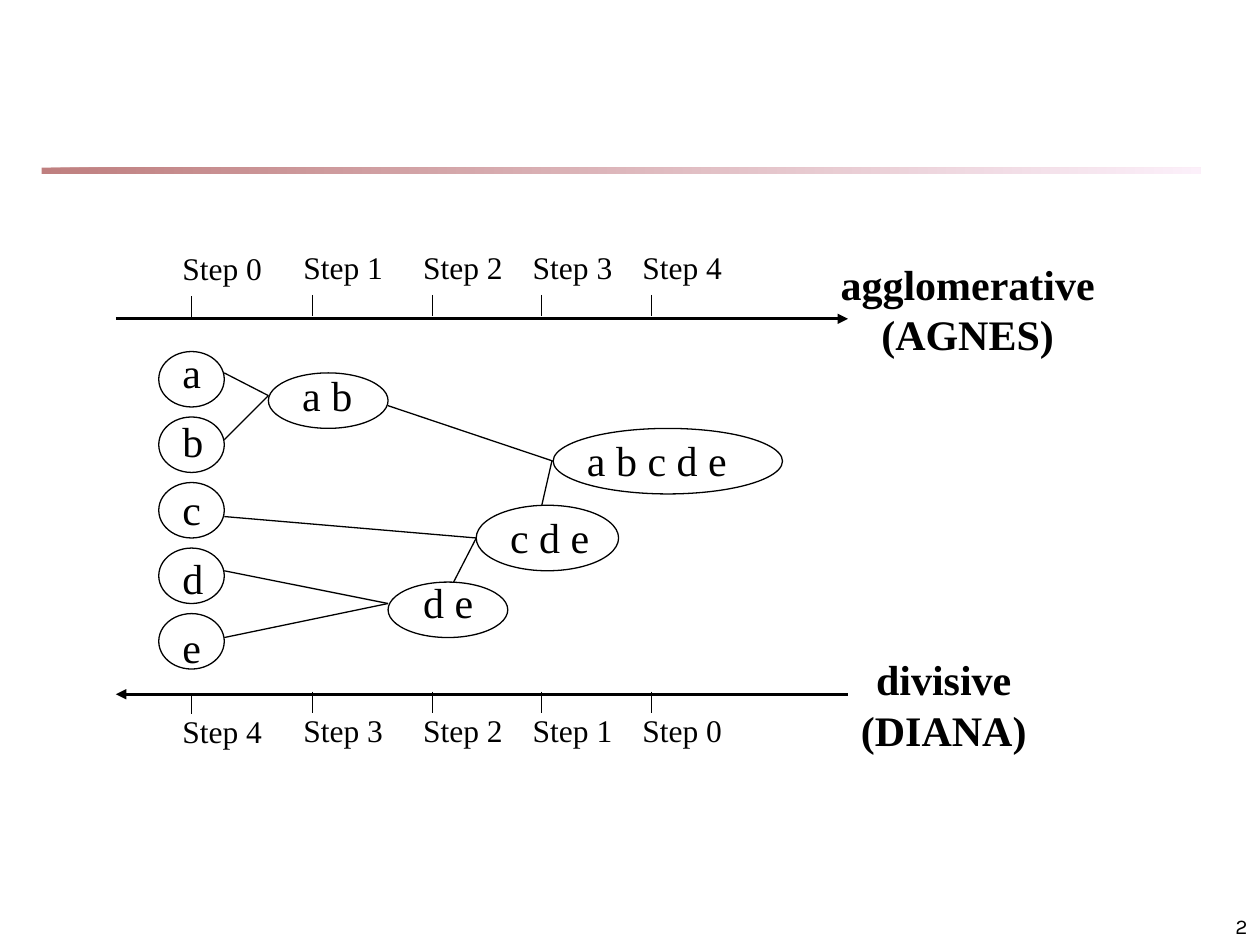
from lxml.etree import SubElement
from pptx import Presentation
from pptx.dml.color import RGBColor
from pptx.enum.shapes import MSO_CONNECTOR as Connector, MSO_SHAPE as Shape
from pptx.enum.text import MSO_ANCHOR as Anchor, PP_ALIGN as Align
from pptx.oxml.ns import qn
from pptx.util import Inches, Pt

color = RGBColor.from_string
BLACK = color("000000")


def add_text(page, left, top, width, height, lines, wrap=False,
             align=Align.LEFT, anchor=Anchor.TOP, **font):
    box = page.shapes.add_textbox(Inches(left), Inches(top), Inches(width), Inches(height))
    frame = box.text_frame
    frame.word_wrap = wrap
    frame.vertical_anchor = anchor
    frame.text = "\n".join(lines)
    for para in frame.paragraphs:
        para.alignment = align
        span = para.runs[0]
        span.font.color.rgb = BLACK
        for name, value in {"name": "Times New Roman", "size": Pt(24), **font}.items():
            setattr(span.font, name, value)


def add_line(page, x1, y1, x2, y2, weight=0.75, arrow=None):
    line = page.shapes.add_connector(
        Connector.STRAIGHT, Inches(x1), Inches(y1), Inches(x2), Inches(y2))
    line.line.color.rgb = BLACK
    line.line.width = Pt(weight)
    if arrow:
        SubElement(line.line._get_or_add_ln(), qn(f"a:{arrow}"), type="triangle")
    SubElement(line._element.spPr, qn("a:effectLst"))


deck = Presentation()
deck.slide_width, deck.slide_height = Inches(10), Inches(7.5)
page = deck.slides.add_slide(deck.slide_layouts[6])

rule = page.shapes.add_shape(
    Shape.RECTANGLE, Inches(0.33), Inches(1.33), Inches(9.2), Inches(0.05))
rule.shadow.inherit = False
rule.line.fill.background()
rule.fill.gradient()
rule.fill.gradient_angle = 0
for stop, shade in zip(rule.fill.gradient_stops, ["800000", "FAE2F6"]):
    stop.color.rgb = color(shade)
for tint in rule._element.spPr.iter(qn("a:srgbClr")):
    SubElement(tint, qn("a:alpha"), val="50000")

add_text(page, 7.92, 7.08, 2.08, 0.42, ["2"], wrap=True, align=Align.RIGHT,
         anchor=Anchor.BOTTOM, name="Karla", size=Pt(12))

tick_columns = [1.52, 2.48, 3.43, 4.3, 5.17]
axes = [
    (2.53, "tailEnd", 2.34, 1.92, range(5)),
    (5.51, "headEnd", 5.49, 5.59, range(4, -1, -1)),
]
for axis_y, arrow, tick_top, label_top, steps in axes:
    add_line(page, 0.92, axis_y, 6.73, axis_y, 1.5, arrow)
    for column, (x, step) in enumerate(zip(tick_columns, steps)):
        drop = 0.01 if column == 0 else 0
        add_line(page, x, tick_top + drop, x, tick_top + drop + 0.17)
        add_text(page, x - 0.17, label_top + drop, 0.87, 0.4, [f"Step {step}"],
                 wrap=True, size=Pt(18))

clusters = [
    (letter, 1.26, 2.79 + 0.52 * row, 0.52, 0.44, 1.35, 2.7 + 0.545 * row, 0.36)
    for row, letter in enumerate("abcde")
] + [
    ("a b", 2.13, 2.96, 0.95, 0.44, 2.3, 2.88, 0.62),
    ("d e", 3.08, 4.62, 0.95, 0.44, 3.26, 4.53, 0.62),
    ("c d e", 3.78, 4.01, 1.13, 0.52, 3.95, 4.01, 0.85),
    ("a b c d e", 4.39, 3.4, 1.82, 0.52, 4.56, 3.4, 1.33),
]
for members, left, top, width, height, text_left, text_top, text_width in clusters:
    add_text(page, text_left, text_top, text_width, 0.5, [members])
    oval = page.shapes.add_shape(
        Shape.OVAL, Inches(left), Inches(top), Inches(width), Inches(height))
    oval.shadow.inherit = False
    oval.fill.background()
    oval.line.color.rgb = BLACK
    oval.line.width = Pt(0.75)

links = [
    (1.78, 2.96, 2.13, 3.14),
    (1.78, 3.49, 2.13, 3.14),
    (1.78, 4.53, 3.08, 4.79),
    (1.78, 5.06, 3.08, 4.79),
    (1.78, 4.1, 3.78, 4.27),
    (3.6, 4.62, 3.78, 4.27),
    (3.08, 3.22, 4.39, 3.66),
    (4.3, 4.01, 4.38, 3.66),
]
for link in links:
    add_line(page, *link)

methods = [
    (6.53, 2, 2.3, ["agglomerative", "(AGNES)"]),
    (6.69, 5.14, 1.6, ["divisive", "(DIANA)"]),
]
for left, top, width, lines in methods:
    add_text(page, left, top, width, 0.9, lines, align=Align.CENTER, bold=True)

deck.save("out.pptx")
